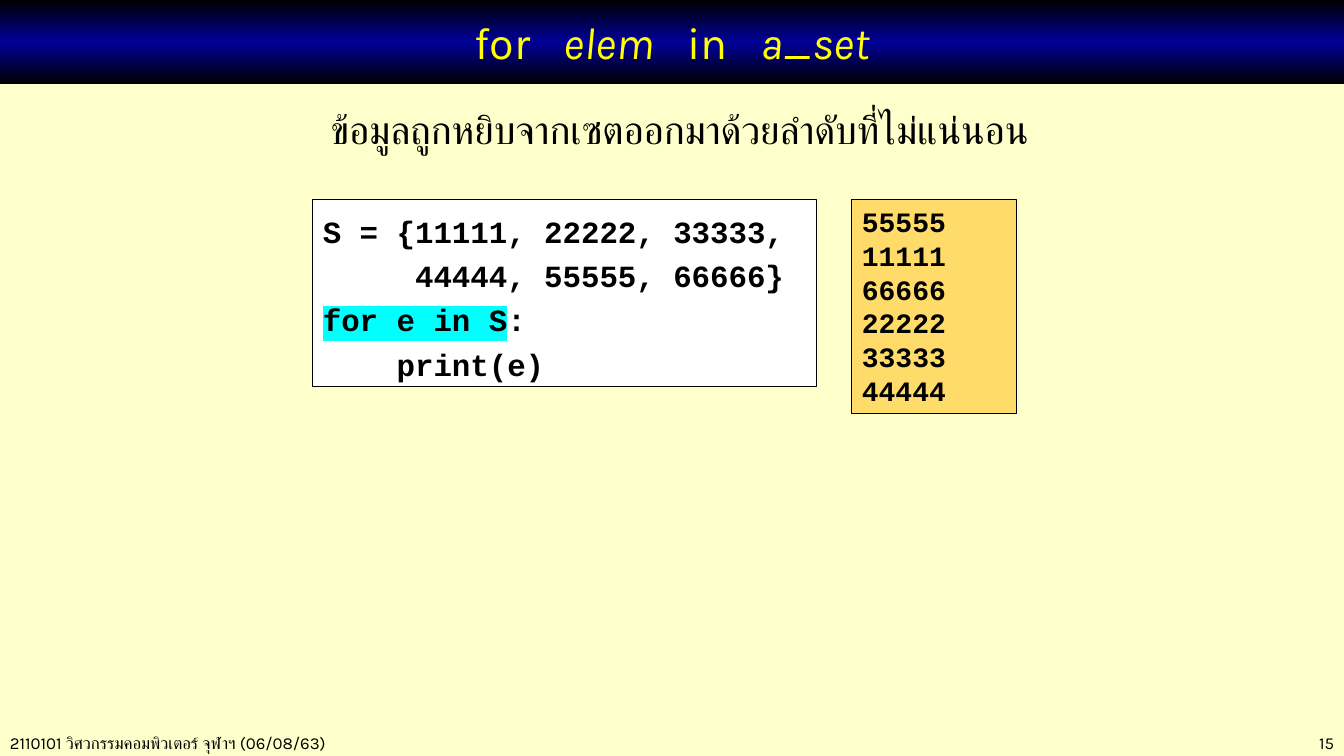
from copy import deepcopy

from lxml import etree
from pptx import Presentation
from pptx import util as u
from pptx.dml import color
from pptx.enum import shapes, text
from pptx.oxml import ns

SCALE = 914400 / 100.8
LEFT, MID, RIGHT = text.PP_ALIGN.LEFT, text.PP_ALIGN.CENTER, text.PP_ALIGN.RIGHT


def px(n):
    return u.Emu(round(n * SCALE))


def rgb(code):
    return color.RGBColor.from_string(code)


class Deck:
    """Style and current slide, with one method per kind of element."""

    sans, mono = "Karla", "Courier New"
    ink, paper = "000000", "FFFFCC"

    def __init__(self):
        self.prs = Presentation()
        self.prs.slide_width, self.prs.slide_height = px(1344), px(756)
        self.slide = self.prs.slides.add_slide(self.prs.slide_layouts[6])
        fill = self.slide.background.fill
        fill.solid()
        fill.fore_color.rgb = rgb(self.paper)

    def run(self, para, words, size, face, tint, bold=False, slant=False, mark=None, gap=0):
        run = para.add_run()
        run.text = words
        font = run.font
        font.size, font.bold, font.italic = u.Pt(size), bold, slant
        font.color.rgb = rgb(tint)
        font.name = face
        props = run._r.get_or_add_rPr()
        if gap:
            props.set("spc", str(gap * 100))
        if mark:
            glow = etree.Element(ns.qn("a:highlight"))
            etree.SubElement(glow, ns.qn("a:srgbClr"), val=mark)
            props.find(ns.qn("a:solidFill")).addnext(glow)

    def words(self, shape, lines, size, face, tint=ink, align=LEFT, space=1.0, bold=False, anchor=text.MSO_ANCHOR.TOP):
        frame = shape.text_frame
        frame.word_wrap = True
        frame.vertical_anchor = anchor
        for i, line in enumerate(lines):
            para = frame.add_paragraph() if i else frame.paragraphs[0]
            para.alignment, para.line_spacing = align, space
            for part, look in line:
                self.run(para, part, size, face, tint, bold, **look)

    def label(self, x, y, w, h, line, size, align=LEFT):
        box = self.slide.shapes.add_textbox(px(x), px(y), px(w), px(h))
        self.words(box, [[(line, {})]], size, self.sans, align=align)

    def rect(self, x, y, w, h):
        box = self.slide.shapes.add_shape(shapes.MSO_SHAPE.RECTANGLE, px(x), px(y), px(w), px(h))
        box.shadow.inherit = False
        return box

    def band(self, h, tints, line):
        bar = self.rect(0, 0, 1344, h)
        bar.line.fill.background()
        bar.fill.gradient()
        bar.fill.gradient_angle = 90
        stops = bar._element.spPr.find(".//" + ns.qn("a:gsLst"))
        stops.insert(1, deepcopy(stops[0]))
        for i, (stop, tint) in enumerate(zip(bar.fill.gradient_stops, tints)):
            stop.position = i / (len(tints) - 1)
            stop.color.rgb = rgb(tint)
        self.words(bar, [line], 32, self.sans, "FFFF00", MID, anchor=text.MSO_ANCHOR.MIDDLE)

    def code(self, x, y, w, h, back, lines, size, space=1.0):
        box = self.rect(x, y, w, h)
        box.fill.solid()
        box.fill.fore_color.rgb = rgb(back)
        box.line.color.rgb = rgb(self.ink)
        box.line.width = u.Pt(0.75)
        self.words(box, lines, size, self.mono, space=space, bold=True)


def main():
    deck = Deck()
    deck.label(0, 728, 524, 30, "2110101 วิศวกรรมคอมพิวเตอร์ จุฬาฯ (06/08/63)", 12)
    deck.label(1159, 728, 185, 30, "15", 12, RIGHT)

    wide, slant = (" ", {"gap": 16}), {"slant": True}
    title = [("for", {}), wide, ("elem", slant), wide, ("in", {}), wide, ("a_set", slant)]
    deck.band(84, ["000000", "000099", "000000"], title)
    deck.label(243, 100, 873, 84, "ข้อมูลถูกหยิบจากเซตออกมาด้วยลำดับที่ไม่แน่นอน", 28, MID)

    loop = [
        [("S = {11111, 22222, 33333,", {})],
        [("     44444, 55555, 66666}", {})],
        [("for e in S", {"mark": "00FFFF"}), (":", {})],
        [("    print(e)", {})],
    ]
    deck.code(313, 200, 504, 187, "FFFFFF", loop, 22, 1.2)
    order = [[(str(n * 11111), {})] for n in (5, 1, 6, 2, 3, 4)]
    deck.code(852, 200, 165, 214, "FFDB69", order, 20)
    deck.prs.save("out.pptx")


if __name__ == "__main__":
    main()
